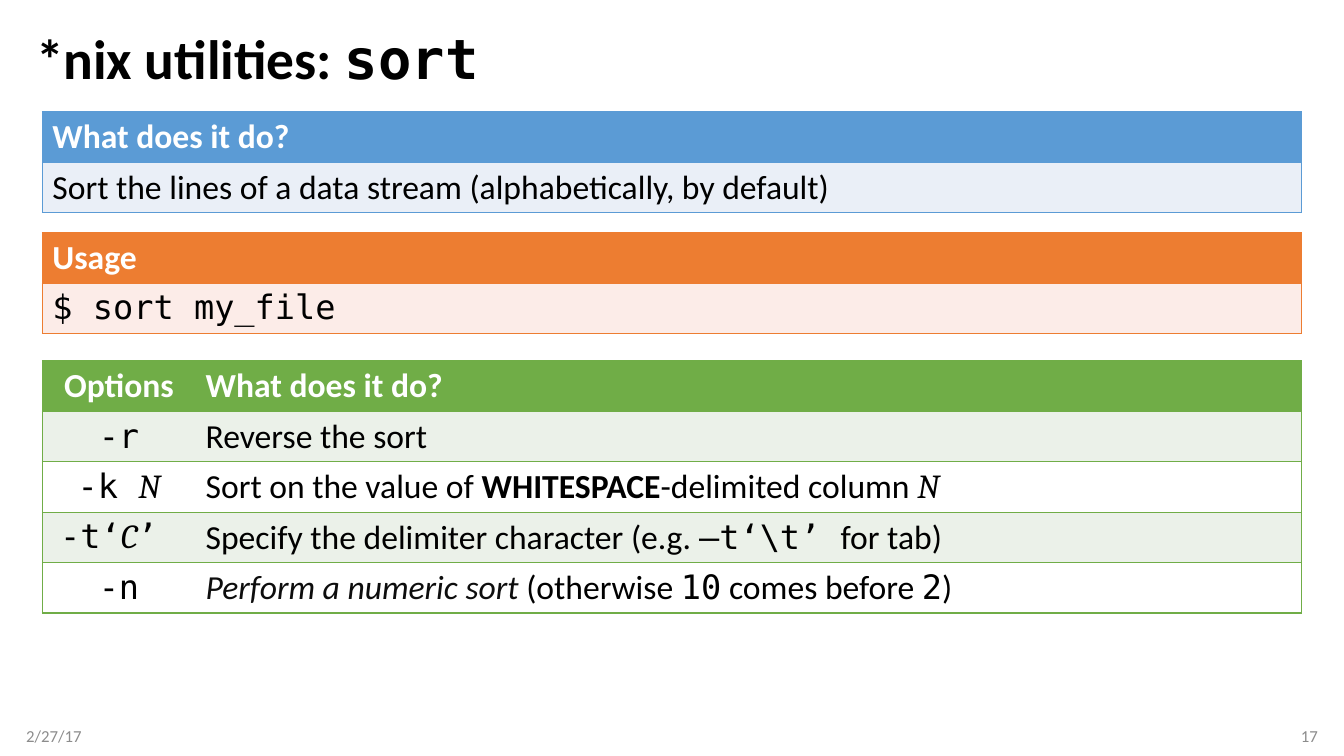
from dataclasses import dataclass

from lxml.etree import SubElement
from pptx import Presentation
from pptx.dml.color import RGBColor as Rgb
from pptx.enum.text import MSO_ANCHOR as Anchor, PP_ALIGN as Align
from pptx.oxml.ns import qn
from pptx.util import Inches, Pt


@dataclass(frozen=True)
class Theme:
    sans: str = "Calibri"
    mono: str = "DejaVu Sans Mono"
    serif: str = "Cambria"
    title_size: float = 39.6
    body_size: float = 24
    footer_size: float = 12
    border_width: float = 1
    black: str = "000000"
    soft_black: str = "0D0D0D"
    white: str = "FFFFFF"
    grey: str = "8C8C8C"
    blue: str = "5B9BD5"
    pale_blue: str = "EAEFF7"
    orange: str = "ED7D31"
    pale_orange: str = "FCECE8"
    green: str = "70AD47"
    pale_green: str = "EBF1E9"


THEME = Theme()

# Run formats: font attributes that differ from the base text
PLAIN = {}
BOLD = {"bold": True}
CODE = {"name": THEME.mono}
VARIABLE = {"name": THEME.serif, "italic": True}
EMPHASIS = {"italic": True, "color": THEME.soft_black}

TABLE_LEFT, TABLE_WIDTH, ROW_HEIGHT = 0.42, 12.49, 0.5
OPTION_WIDTH = 1.52

OPTIONS = [
    ([("Options", PLAIN)], [("What does it do?", PLAIN)]),
    ([("-r", CODE)], [("Reverse the sort", PLAIN)]),
    ([("-k ", CODE), ("N", VARIABLE)],
     [("Sort on the value of ", PLAIN), ("WHITESPACE", BOLD),
      ("-delimited column ", PLAIN), ("N", VARIABLE)]),
    ([("-t‘", CODE), ("C", VARIABLE), ("’ ", CODE)],
     [("Specify the delimiter character (e.g. ", PLAIN),
      ("–t‘\\t’ ", CODE), ("for tab)", PLAIN)]),
    ([("-n", CODE)],
     [("Perform a numeric sort ", EMPHASIS), ("(otherwise ", PLAIN),
      ("10", CODE), (" comes before ", PLAIN), ("2", CODE), (")", PLAIN)]),
]


def write_runs(paragraph, runs, size, color, bold=False):
    base = {"name": THEME.sans, "size": Pt(size), "bold": bold, "color": color}
    for text, changes in runs:
        run = paragraph.add_run()
        run.text = text
        for attribute, value in {**base, **changes}.items():
            if attribute == "color":
                run.font.color.rgb = Rgb.from_string(value)
            else:
                setattr(run.font, attribute, value)


def add_text(slide, box, runs, size, color, bold=False, frame_format=PLAIN,
             paragraph_format=PLAIN):
    frame = slide.shapes.add_textbox(*map(Inches, box)).text_frame
    paragraph = frame.paragraphs[0]
    frame_values = {"word_wrap": True, "vertical_anchor": Anchor.MIDDLE,
                    **frame_format}
    for target, values in ((frame, frame_values), (paragraph, paragraph_format)):
        for attribute, value in values.items():
            setattr(target, attribute, value)
    write_runs(paragraph, runs, size, color, bold)


def draw_borders(cell, color, open_side):
    properties = cell._tc.get_or_add_tcPr()
    for position, side in enumerate(("lnL", "lnR", "lnT", "lnB")):
        border = SubElement(properties, qn(f"a:{side}"),
                            w=str(Pt(THEME.border_width)))
        if side == open_side:
            SubElement(border, qn("a:noFill"))
        else:
            fill = SubElement(border, qn("a:solidFill"))
            SubElement(fill, qn("a:srgbClr"), val=color)
        properties.insert(position, border)


def add_panel(slide, top, rows, widths, accent, tint, anchor=Anchor.TOP):
    """Table with an accent header row and banded rows below it."""
    panel = slide.shapes.add_table(
        len(rows), len(widths), Inches(TABLE_LEFT), Inches(top),
        Inches(TABLE_WIDTH), Inches(ROW_HEIGHT * len(rows))).table
    panel.horz_banding = panel.first_row = False
    for column, width in zip(panel.columns, widths):
        column.width = Inches(width)

    two_columns = len(widths) == 2
    for r, row in enumerate(rows):
        header = r == 0
        background = accent if header else tint if r % 2 else THEME.white
        for c, runs in enumerate(row):
            cell = panel.cell(r, c)
            cell.vertical_anchor = anchor
            cell.fill.solid()
            cell.fill.fore_color.rgb = Rgb.from_string(background)
            open_side = ("lnR", "lnL")[c] if two_columns else None
            draw_borders(cell, accent, open_side)
            paragraph = cell.text_frame.paragraphs[0]
            if two_columns and c == 0:
                paragraph.alignment = Align.CENTER
            write_runs(paragraph, runs, THEME.body_size,
                       THEME.white if header else THEME.black, header)


def main():
    deck = Presentation()
    deck.slide_width, deck.slide_height = Inches(13.33), Inches(7.5)
    slide = deck.slides.add_slide(deck.slide_layouts[6])

    # Title
    add_text(slide, (0.26, 0.25, 12.81, 0.72),
             [("*nix utilities: ", PLAIN), ("sort", CODE)],
             THEME.title_size, THEME.black, bold=True,
             paragraph_format={"line_spacing": 0.9})

    # Purpose, usage and options
    purpose = "Sort the lines of a data stream (alphabetically, by default)"
    add_panel(slide, 1.11,
              [[[("What does it do?", PLAIN)]], [[(purpose, PLAIN)]]],
              [TABLE_WIDTH], THEME.blue, THEME.pale_blue)
    add_panel(slide, 2.31,
              [[[("Usage", PLAIN)]], [[("$ sort my_file", CODE)]]],
              [TABLE_WIDTH], THEME.orange, THEME.pale_orange)
    add_panel(slide, 3.58, OPTIONS,
              [OPTION_WIDTH, TABLE_WIDTH - OPTION_WIDTH],
              THEME.green, THEME.pale_green, Anchor.MIDDLE)

    # Footer: date and page number
    for left, text, inset, align in ((0.26, "2/27/17", "margin_left", Align.LEFT),
                                     (10.07, "17", "margin_right", Align.RIGHT)):
        add_text(slide, (left, 7.1, 3, 0.4), [(text, PLAIN)],
                 THEME.footer_size, THEME.grey,
                 frame_format={inset: Inches(0)},
                 paragraph_format={"alignment": align})

    deck.save("out.pptx")


if __name__ == "__main__":
    main()
